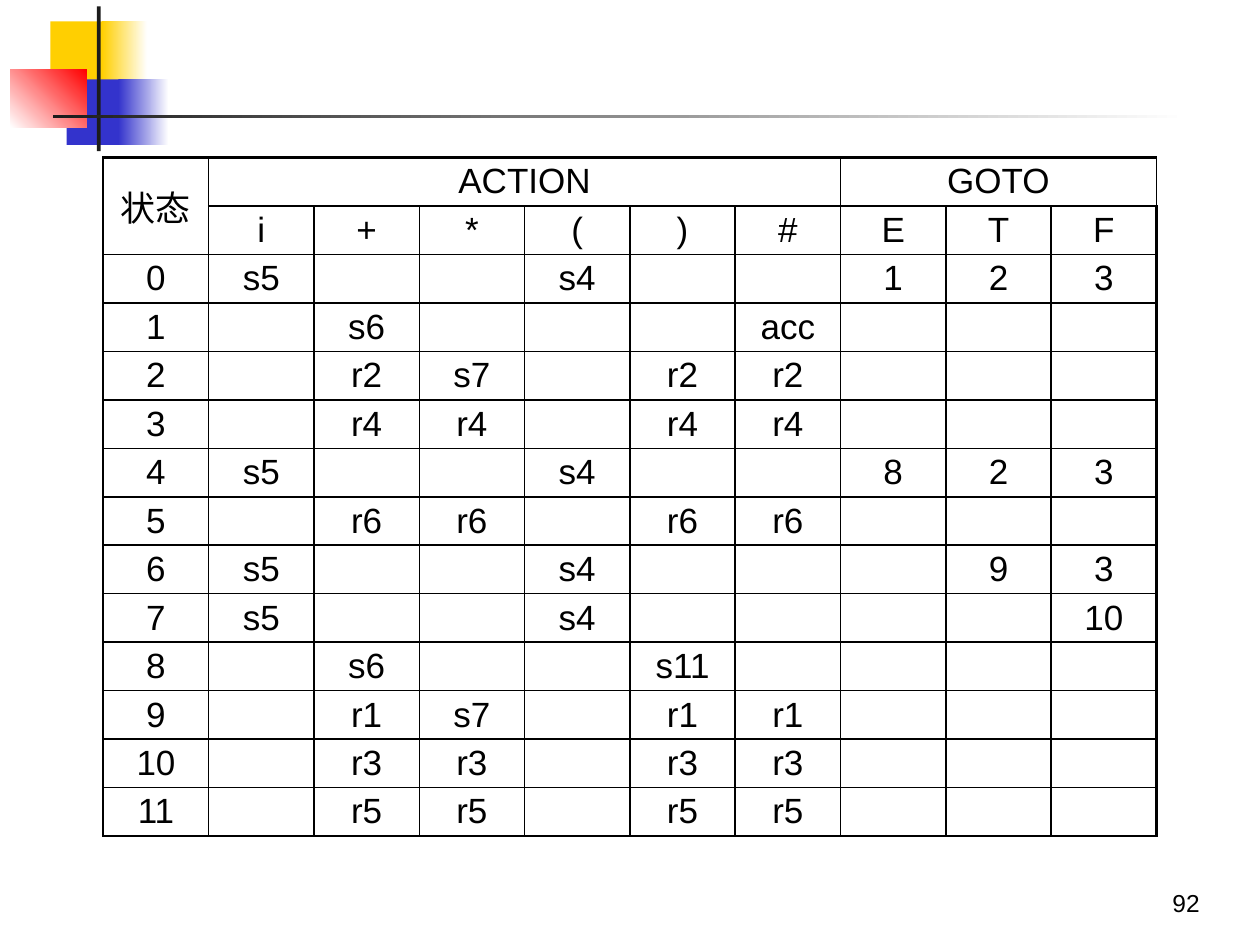
from lxml import etree
from pptx import Presentation
from pptx.dml.color import RGBColor
from pptx.enum import shapes, text
from pptx.oxml import ns
from pptx.util import Inches, Pt

BLACK = RGBColor(0x00, 0x00, 0x00)
WHITE = RGBColor(0xFF, 0xFF, 0xFF)
YELLOW = RGBColor(0xFF, 0xCF, 0x01)
BLUE = RGBColor(0x33, 0x33, 0xCC)
RED = RGBColor(0xFF, 0x00, 0x00)
CHARCOAL = RGBColor(0x1C, 0x1C, 0x1C)
LATIN_FONT = "Arial"
CHINESE_FONT = "Noto Sans CJK SC"
THIN, THICK = 1, 1.5

HEADINGS = ["状态", "ACTION", "", "", "", "", "", "GOTO", "", ""]
SYMBOLS = ["", *"i+*()#ETF"]
STATES = [
    {"i": "s5", "(": "s4", "E": "1", "T": "2", "F": "3"},
    {"+": "s6", "#": "acc"},
    {"+": "r2", "*": "s7", ")": "r2", "#": "r2"},
    dict.fromkeys("+*)#", "r4"),
    {"i": "s5", "(": "s4", "E": "8", "T": "2", "F": "3"},
    dict.fromkeys("+*)#", "r6"),
    {"i": "s5", "(": "s4", "T": "9", "F": "3"},
    {"i": "s5", "(": "s4", "F": "10"},
    {"+": "s6", ")": "s11"},
    {"+": "r1", "*": "s7", ")": "r1", "#": "r1"},
    dict.fromkeys("+*)#", "r3"),
    dict.fromkeys("+*)#", "r5"),
]


def add_block(slide, left, top, width, height, start, end=None, angle=0):
    block = slide.shapes.add_shape(
        shapes.MSO_SHAPE.RECTANGLE,
        Inches(left), Inches(top), Inches(width), Inches(height),
    )
    block.shadow.inherit = False
    block.line.fill.background()
    if end is None:
        block.fill.solid()
        block.fill.fore_color.rgb = start
        return
    block.fill.gradient()
    block.fill.gradient_angle = angle
    for stop, position, color in zip(block.fill.gradient_stops, (0, 1), (start, end)):
        stop.position = position
        stop.color.rgb = color


def add_ornament(slide, left, top):
    add_block(slide, left + 0.32, top + 0.12, 0.48, 0.52, YELLOW)
    add_block(slide, left + 0.73, top + 0.12, 0.36, 0.52, YELLOW, WHITE)
    add_block(slide, left + 0.45, top + 0.58, 0.46, 0.52, BLUE)
    add_block(slide, left + 0.86, top + 0.58, 0.4, 0.52, BLUE, WHITE)
    add_block(slide, left, top + 0.5, 0.61, 0.46, WHITE, RED, 45)
    add_block(slide, left + 0.69, top, 0.03, 1.15, CHARCOAL)
    add_block(slide, left + 0.34, top + 0.86, 9, 0.03, CHARCOAL, WHITE)


def style_run(run, size, font_name=LATIN_FONT):
    run.font.size = Pt(size)
    run.font.name = font_name
    run.font.color.rgb = BLACK
    if font_name == CHINESE_FONT:
        east_asian = etree.SubElement(run.font._element, ns.qn("a:ea"))
        east_asian.set("typeface", font_name)


def set_borders(cell, widths):
    properties = cell._tc.get_or_add_tcPr()
    for side, width in widths.items():
        line = etree.SubElement(properties, ns.qn(f"a:ln{side}"), w=str(Pt(width)))
        fill = etree.SubElement(line, ns.qn("a:solidFill"))
        etree.SubElement(fill, ns.qn("a:srgbClr"), val=str(BLACK))


def fill_cell(cell, value):
    cell.fill.background()
    cell.margin_left = cell.margin_right = Inches(0.02)
    cell.margin_top = cell.margin_bottom = 0
    cell.vertical_anchor = text.MSO_ANCHOR.MIDDLE
    cell.text_frame.text = value
    paragraph = cell.text_frame.paragraphs[0]
    paragraph.alignment = text.PP_ALIGN.CENTER
    for run in paragraph.runs:
        style_run(run, 20, CHINESE_FONT if value == HEADINGS[0] else LATIN_FONT)


def add_parsing_table(slide, left, top, width, height):
    rows = [HEADINGS, SYMBOLS]
    for number, moves in enumerate(STATES):
        rows.append([str(number)] + [moves.get(symbol, "") for symbol in SYMBOLS[1:]])
    last_row, last_column = len(rows) - 1, len(SYMBOLS) - 1

    table = slide.shapes.add_table(
        len(rows), len(SYMBOLS),
        Inches(left), Inches(top), Inches(width), Inches(height),
    ).table
    table.first_row = table.horz_banding = False
    for row, values in enumerate(rows):
        for column, value in enumerate(values):
            cell = table.cell(row, column)
            set_borders(cell, {
                "L": THICK if column == 0 else THIN,
                "R": THICK if column == last_column and row > 0 else THIN,
                "T": THICK if row == 0 else THIN,
                "B": THICK if row == last_row else THIN,
            })
            fill_cell(cell, value)
    for first, last in (((0, 0), (1, 0)), ((0, 1), (0, 6)), ((0, 7), (0, 9))):
        table.cell(*first).merge(table.cell(*last))


def add_page_number(slide, left, top, width, height, number):
    frame = slide.shapes.add_textbox(
        Inches(left), Inches(top), Inches(width), Inches(height)
    ).text_frame
    frame.word_wrap = True
    frame.vertical_anchor = text.MSO_ANCHOR.BOTTOM
    frame.text = number
    paragraph = frame.paragraphs[0]
    paragraph.alignment = text.PP_ALIGN.RIGHT
    style_run(paragraph.runs[0], 14)


def main():
    presentation = Presentation()
    presentation.slide_width = Inches(10)
    presentation.slide_height = Inches(7.5)
    slide = presentation.slides.add_slide(presentation.slide_layouts[6])
    add_ornament(slide, 0.08, 0.05)
    add_page_number(slide, 7.54, 6.83, 2.08, 0.5, "92")
    add_parsing_table(slide, 0.82, 1.25, 8.36, 5.39)
    presentation.save("out.pptx")


if __name__ == "__main__":
    main()
